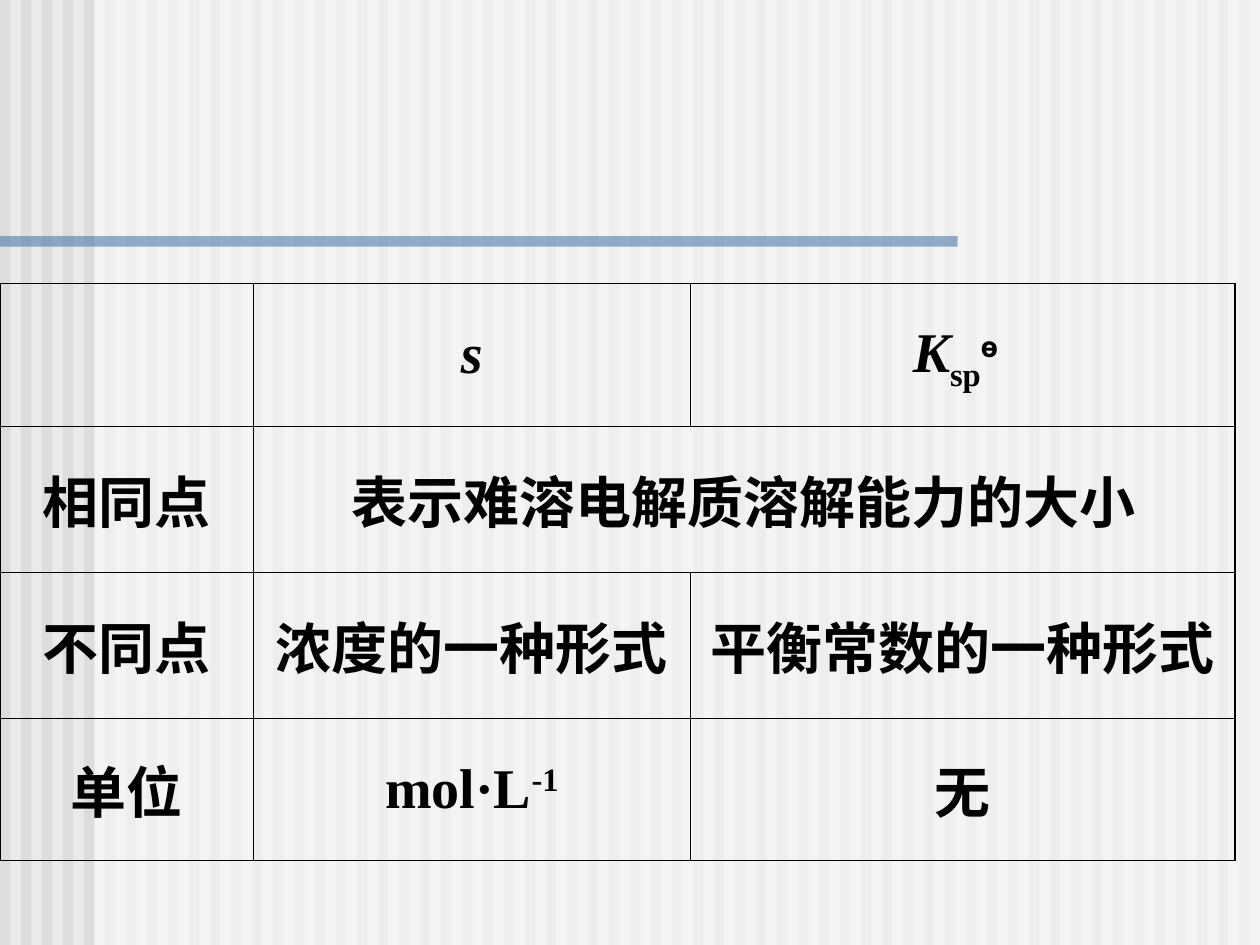
"""Build a slide comparing solubility with the solubility product."""
from dataclasses import dataclass

from lxml.etree import SubElement
from pptx import Presentation
from pptx.dml.color import RGBColor
from pptx.enum.shapes import MSO_SHAPE
from pptx.enum.text import MSO_ANCHOR, PP_ALIGN
from pptx.oxml.ns import qn
from pptx.util import Inches, Pt

BACKGROUND = RGBColor(0xEA, 0xEA, 0xEA)
STRIPE = RGBColor(0xDD, 0xDD, 0xDD)
WHITE = RGBColor(0xFF, 0xFF, 0xFF)
BLUE = RGBColor(0x33, 0x66, 0x99)
BLACK = RGBColor(0x00, 0x00, 0x00)

SLIDE_WIDTH, SLIDE_HEIGHT = 10, 7.5
STRIPE_COUNT = 60
STRIPE_PITCH = 1 / STRIPE_COUNT
COLUMN_WIDTHS = (2.01, 3.47, 4.32)
ROW_HEIGHTS = (1.13, 1.16, 1.16, 1.13)
TABLE_TOP = 0.3
INNER_BORDER, OUTER_BORDER = Pt(0.45), Pt(1.08)
LATIN_FONT, CHINESE_FONT = "Times New Roman", "Noto Sans CJK SC"
TEXT_FORMAT = {"size": Pt(32), "bold": True, "italic": False, "name": LATIN_FONT}


@dataclass(frozen=True)
class Block:
    """A filled rectangle measured in shares of the slide."""

    left: float
    top: float
    width: float
    height: float
    color: RGBColor
    opacity: int = 100


@dataclass(frozen=True)
class Piece:
    """A stretch of text with its own formatting."""

    text: str
    italic: bool = False
    baseline: int = 0
    size: int = 32
    font: str = LATIN_FONT


@dataclass(frozen=True)
class Entry:
    """The content of one table cell and the columns it covers."""

    row: int
    column: int
    pieces: tuple[Piece, ...]
    span: int = 1


STRIPES = [Block(i * STRIPE_PITCH, 0, STRIPE_PITCH / 2, 1, STRIPE) for i in range(STRIPE_COUNT)]
OVERLAYS = [
    Block(0.075, 0, 0.925, 1, WHITE, 50),
    Block(0, 0.25, 0.76, 0.011, BLUE, 50),
]
ENTRIES = [
    Entry(0, 1, (Piece("s", italic=True),)),
    Entry(0, 2, (
        Piece("K", italic=True),
        Piece("sp", baseline=-25),
        Piece("ө", baseline=30, size=28, font=CHINESE_FONT),
        Piece(" "),
    )),
    Entry(1, 0, (Piece("相同点"),)),
    Entry(1, 1, (Piece("表示难溶电解质溶解能力的大小"),), span=2),
    Entry(2, 0, (Piece("不同点"),)),
    Entry(2, 1, (Piece("浓度的一种形式"),)),
    Entry(2, 2, (Piece("平衡常数的一种形式"),)),
    Entry(3, 0, (Piece("单位"),)),
    Entry(3, 1, (Piece("mol·L"), Piece("-1", baseline=30))),
    Entry(3, 2, (Piece("无"),)),
]


def draw_block(shapes, block: Block) -> None:
    """Draw one rectangle without outline or shadow."""
    shape = shapes.add_shape(
        MSO_SHAPE.RECTANGLE,
        Inches(block.left * SLIDE_WIDTH), Inches(block.top * SLIDE_HEIGHT),
        Inches(block.width * SLIDE_WIDTH), Inches(block.height * SLIDE_HEIGHT),
    )
    shape.shadow.inherit = False
    shape.line.fill.background()
    shape.fill.solid()
    shape.fill.fore_color.rgb = block.color
    if block.opacity < 100:
        color = shape.fill._xPr.find(qn("a:solidFill"))[0]
        SubElement(color, qn("a:alpha"), val=str(block.opacity * 1000))


def write_piece(paragraph, piece: Piece) -> None:
    """Add one formatted run to a paragraph."""
    run = paragraph.add_run()
    run.text = piece.text
    values = TEXT_FORMAT | {"size": Pt(piece.size), "italic": piece.italic, "name": piece.font}
    for name, value in values.items():
        setattr(run.font, name, value)
    run.font.color.rgb = BLACK
    properties = run._r.get_or_add_rPr()
    SubElement(properties, qn("a:ea"), typeface=CHINESE_FONT)
    if piece.baseline:
        properties.set("baseline", str(piece.baseline * 1000))


def draw_borders(cell, row: int, column: int, span: int) -> None:
    """Rule the sides of a cell, heavier on the outside of the table."""
    outer_sides = {
        "L": column == 0,
        "R": column + span == len(COLUMN_WIDTHS),
        "T": row == 0,
        "B": row == len(ROW_HEIGHTS) - 1,
    }
    properties = cell._tc.get_or_add_tcPr()
    for side, is_outer in outer_sides.items():
        if side == "L" and cell.is_spanned:
            continue
        width = OUTER_BORDER if is_outer else INNER_BORDER
        line = SubElement(properties, qn(f"a:ln{side}"), w=str(width))
        fill = SubElement(line, qn("a:solidFill"))
        SubElement(fill, qn("a:srgbClr"), val=str(BLACK))


def draw_table(shapes) -> None:
    """Draw the comparison table."""
    table = shapes.add_table(
        len(ROW_HEIGHTS), len(COLUMN_WIDTHS), 0, Inches(TABLE_TOP * SLIDE_HEIGHT),
        Inches(sum(COLUMN_WIDTHS)), Inches(sum(ROW_HEIGHTS)),
    ).table
    table.first_row = table.horz_banding = False
    for column, width in zip(table.columns, COLUMN_WIDTHS):
        column.width = Inches(width)
    for row, height in zip(table.rows, ROW_HEIGHTS):
        row.height = Inches(height)
    for entry in ENTRIES:
        cell = table.cell(entry.row, entry.column)
        if entry.span > 1:
            cell.merge(table.cell(entry.row, entry.column + entry.span - 1))
        cell.vertical_anchor = MSO_ANCHOR.MIDDLE
        paragraph = cell.text_frame.paragraphs[0]
        paragraph.alignment = PP_ALIGN.CENTER
        for piece in entry.pieces:
            write_piece(paragraph, piece)
    for row in range(len(ROW_HEIGHTS)):
        for column in range(len(COLUMN_WIDTHS)):
            cell = table.cell(row, column)
            draw_borders(cell, row, column, cell.span_width if cell.is_merge_origin else 1)
            cell.fill.background()


def main() -> None:
    """Create and save the presentation."""
    presentation = Presentation()
    presentation.slide_width = Inches(SLIDE_WIDTH)
    presentation.slide_height = Inches(SLIDE_HEIGHT)
    slide = presentation.slides.add_slide(presentation.slide_layouts[6])
    slide.background.fill.solid()
    slide.background.fill.fore_color.rgb = BACKGROUND
    backdrop = slide.shapes.add_group_shape()
    for block in STRIPES + OVERLAYS:
        draw_block(backdrop.shapes, block)
    draw_table(slide.shapes)
    presentation.save("out.pptx")


if __name__ == "__main__":
    main()
